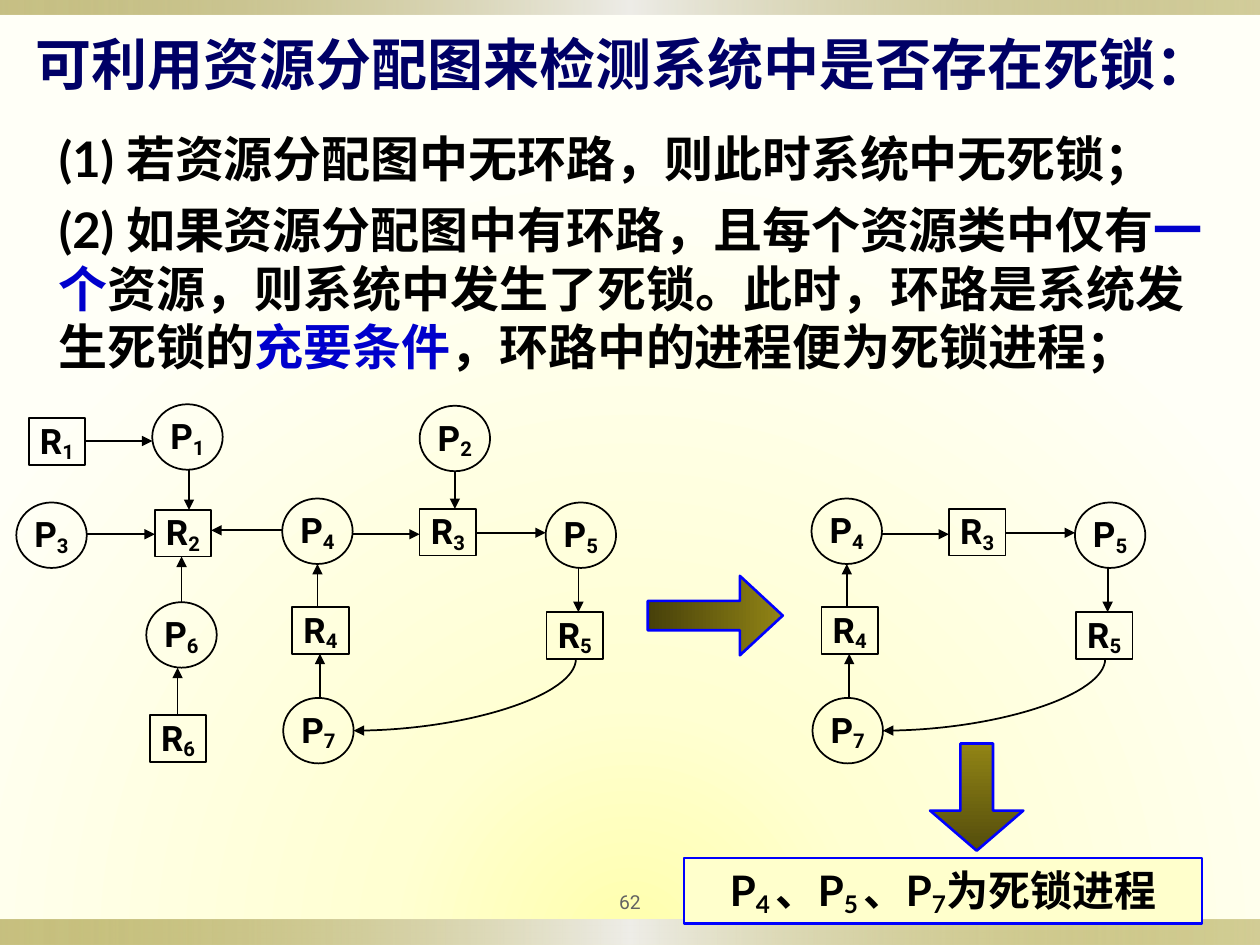
from dataclasses import dataclass

import pptx
import pptx.dml.color
import pptx.enum.shapes
import pptx.enum.text
import pptx.oxml
import pptx.oxml.ns
import pptx.util
from lxml import etree

Cm, Pt = pptx.util.Cm, pptx.util.Pt
RGB = pptx.dml.color.RGBColor.from_string
qn = pptx.oxml.ns.qn
SHAPE = pptx.enum.shapes.MSO_SHAPE
LINK = pptx.enum.shapes.MSO_CONNECTOR
ALIGN = pptx.enum.text.PP_ALIGN
ANCHOR = pptx.enum.text.MSO_ANCHOR


@dataclass(frozen=True)
class Theme:
    black: str = "000000"
    title: str = "000066"
    accent: str = "0000CC"
    outline: str = "0000FF"
    number: str = "636363"
    callout: str = "FFFFCC"
    olive: str = "918415"
    silver: str = "EEEDE8"
    head_font: str = "Lato"
    node_font: str = "Roboto"
    title_pt: float = 32
    body_pt: float = 28
    callout_pt: float = 24
    node_pt: float = 20
    number_pt: float = 11
    subscript: int = -16000


T = Theme()

# Deadlock graph: top-left corner of each node within the graph box, in cm
NODES = {
    "R1": (0.25, 0.28), "P1": (2.74, 0), "R2": (2.79, 2.13),
    "P2": (8.13, 0.03), "P3": (0, 1.98), "P4": (5.36, 1.9),
    "P5": (10.67, 1.98), "P6": (2.62, 3.99), "R3": (8.13, 2.11),
    "R4": (5.56, 4.09), "R5": (10.69, 4.19), "R6": (2.69, 6.27),
    "P7": (5.38, 5.92),
}
SIZES = {"P": (1.42, 1.32), "R": (1.14, 0.94)}
KINDS = {"P": SHAPE.OVAL, "R": SHAPE.RECTANGLE}
# Source, target, direction, and the fixed coordinate of the arrow
EDGES = [
    ("R1", "P1", "right", 0.74), ("P1", "R2", "down", 3.48),
    ("P3", "R2", "right", 2.62), ("P6", "R2", "up", 3.33),
    ("P4", "R2", "left", 2.54), ("R4", "P4", "up", 6.07),
    ("P4", "R3", "right", 2.62), ("R6", "P6", "up", 3.25),
    ("P7", "R4", "up", 6.12), ("P2", "R3", "down", 8.84),
    ("R3", "P5", "right", 2.59), ("P5", "R5", "down", 11.33),
]
CURVE = (11.28, 6.58)  # x where R5 is left, y where P7 is reached
CYCLE = ["P4", "P5", "R3", "R4", "R5", "P7"]


def set_gradient(fill, element, stops, angle=None):
    """Stops are (position, colour, alpha) in percent; no angle means radial."""
    fill.gradient()
    grad = next(element.iter(qn("a:gradFill")))
    for child in list(grad):
        grad.remove(child)
    gs_list = etree.SubElement(grad, qn("a:gsLst"))
    for pos, colour, alpha in stops:
        gs = etree.SubElement(gs_list, qn("a:gs"), pos=str(pos * 1000))
        clr = etree.SubElement(gs, qn("a:srgbClr"), val=colour)
        if alpha < 100:
            etree.SubElement(clr, qn("a:alpha"), val=str(alpha * 1000))
    if angle is None:
        around = etree.SubElement(grad, qn("a:path"), path="circle")
        etree.SubElement(around, qn("a:fillToRect"),
                         l="50000", t="150000", r="50000", b="0")
    else:
        etree.SubElement(grad, qn("a:lin"), ang=str(angle * 60000), scaled="0")


def add_box(shapes, kind, box, line=None, width=1):
    sp = shapes.add_shape(kind, *map(Cm, box))
    sp.shadow.inherit = False
    sp.fill.background()
    if line:
        sp.line.color.rgb = RGB(line)
        sp.line.width = Pt(width)
    else:
        sp.line.fill.background()
    return sp


def add_runs(p, runs, name, size, bold=True):
    """Runs are (text, colour, baseline)."""
    for text, colour, baseline in runs:
        r = p.add_run()
        r.text = text
        for key, value in {"name": name, "size": Pt(size), "bold": bold}.items():
            setattr(r.font, key, value)
        r.font.color.rgb = RGB(colour)
        if baseline:
            r.font._element.set("baseline", str(baseline))


def add_text(s, box, paragraphs, name, size, gap=0, **formats):
    tf = s.shapes.add_textbox(*map(Cm, box)).text_frame
    tf.word_wrap = True
    for i, runs in enumerate(paragraphs):
        p = tf.paragraphs[0] if i == 0 else tf.add_paragraph()
        if i:
            p.space_before = Pt(gap)
        for key, value in formats.items():
            setattr(p, key, value)
        add_runs(p, runs, name, size, bold=size > T.number_pt)
    return tf


def add_node(shapes, name, box):
    sp = add_box(shapes, KINDS[name[0]], box, T.black)
    tf = sp.text_frame
    formats = {"margin_left": Cm(0.15), "margin_right": Cm(0.15),
               "margin_top": Cm(0.03), "margin_bottom": Cm(0.03),
               "word_wrap": False, "vertical_anchor": ANCHOR.MIDDLE}
    for key, value in formats.items():
        setattr(tf, key, value)
    p = tf.paragraphs[0]
    p.alignment = ALIGN.CENTER
    add_runs(p, [(name[0], T.black, 0), (name[1], T.black, T.subscript)],
             T.node_font, T.node_pt)


def add_arrow(shapes, kind, ends):
    c = shapes.add_connector(kind, *map(Cm, ends))
    c.line.color.rgb = RGB(T.black)
    c.line.width = Pt(1)
    etree.SubElement(c.line._get_or_add_ln(), qn("a:tailEnd"), type="triangle")
    etree.SubElement(c._element.spPr, qn("a:effectLst"))
    return c


def add_quarter_curve(shapes, x1, y1, x2, y2):
    """Arrow leaving downwards and arriving leftwards: a quarter-turned arc."""
    cx, cy, w, h = (x1 + x2) / 2, (y1 + y2) / 2, y2 - y1, x1 - x2
    c = add_arrow(shapes, LINK.CURVE,
                  (cx - w / 2, cy - h / 2, cx + w / 2, cy + h / 2))
    c._element.spPr.find(qn("a:prstGeom")).set("prst", "curvedConnector2")
    c._element.spPr.find(qn("a:xfrm")).set("rot", str(90 * 60000))


def draw_graph(s, left, top, names):
    shapes = s.shapes.add_group_shape().shapes
    boxes = {n: (left + NODES[n][0], top + NODES[n][1], *SIZES[n[0]])
             for n in names}
    for name, box in boxes.items():
        add_node(shapes, name, box)
    for src, dst, way, at in EDGES:
        if src not in boxes or dst not in boxes:
            continue
        axis = 0 if way in ("left", "right") else 1
        a, b = boxes[src], boxes[dst]
        forward = way in ("right", "down")
        start = a[axis] + (a[axis + 2] if forward else 0)
        end = b[axis] + (0 if forward else b[axis + 2])
        ends = ((start, top + at, end, top + at) if axis == 0
                else (left + at, start, left + at, end))
        add_arrow(shapes, LINK.STRAIGHT, ends)
    r5, p7 = boxes["R5"], boxes["P7"]
    add_quarter_curve(shapes, left + CURVE[0], r5[1] + r5[3],
                      p7[0] + p7[2], top + CURVE[1])


def draw_block_arrow(s, kind, box, adjustments, colours, angle):
    sp = add_box(s.shapes, kind, box, T.outline, 1.5)
    for i, value in enumerate(adjustments):
        sp.adjustments[i] = value
    set_gradient(sp.fill, sp._element,
                 [(0, colours[0], 100), (100, colours[1], 100)], angle)


def draw_backdrop(s):
    set_gradient(s.background.fill, s._element,
                 [(0, "FFFFAC", 100), (31, "FFFFD2", 100), (100, "FFFFF7", 100)])
    for top, height in ((18.54, 0.51), (0, 0.3)):
        sp = add_box(s.shapes, SHAPE.RECTANGLE, (0, top, 25.4, height))
        set_gradient(sp.fill, sp._element, [(0, T.olive, 50),
                     (50, T.silver, 100), (100, T.olive, 40)], 0)


def draw_callout(s, box):
    sp = add_box(s.shapes, SHAPE.RECTANGLE, box, T.outline, 1.5)
    sp.fill.solid()
    sp.fill.fore_color.rgb = RGB(T.callout)
    tf = sp.text_frame
    tf.word_wrap, tf.vertical_anchor = True, ANCHOR.TOP
    p = tf.paragraphs[0]
    p.alignment = ALIGN.CENTER
    parts = ["P", "4 ", "、P", "5 ", "、P", "7", "为死锁进程"]
    add_runs(p, [(text, T.black, T.subscript * (i % 2))
                 for i, text in enumerate(parts)], T.head_font, T.callout_pt)


def main():
    prs = pptx.Presentation()
    prs.slide_width, prs.slide_height = Cm(25.4), Cm(19.05)
    s = prs.slides.add_slide(prs.slide_layouts[6])
    draw_backdrop(s)

    # Page number, conditions and title
    tf = add_text(s, (11.43, 17.78, 2.54, 0.79), [[("62", T.number, 0)]],
                  T.node_font, T.number_pt, alignment=ALIGN.CENTER)
    tf.vertical_anchor = ANCHOR.MIDDLE
    add_text(s, (0.94, 2.46, 23.88, 5.31), [
        [("(1) 若资源分配图中无环路，则此时系统中无死锁；", T.black, 0)],
        [("(2) 如果资源分配图中有环路，且每个资源类中仅有", T.black, 0),
         ("一个", T.accent, 0),
         ("资源，则系统中发生了死锁。此时，环路是系统发生死锁的", T.black, 0),
         ("充要条件", T.accent, 0),
         ("，环路中的进程便为死锁进程；", T.black, 0)],
    ], T.head_font, T.body_pt, gap=7)
    add_text(s, (0.46, 0.48, 24.94, 1.6),
             [[("可利用资源分配图来检测系统中是否存在死锁：", T.title, 0)]],
             T.head_font, T.title_pt)

    # Full graph, the cycle left after reduction, and the conclusion
    draw_graph(s, 0.33, 8.15, NODES)
    draw_graph(s, 11, 8.15, CYCLE)
    draw_block_arrow(s, SHAPE.RIGHT_ARROW, (13.06, 11.61, 2.72, 1.6),
                     (0.37, 0.54), ("47400A", T.olive), 0)
    draw_callout(s, (13.79, 17.3, 10.44, 1.32))
    draw_block_arrow(s, SHAPE.DOWN_ARROW, (18.75, 14.99, 1.88, 2.16),
                     (0.35, 0.43), (T.olive, "544D0C"), 90)
    prs.save("out.pptx")


if __name__ == "__main__":
    main()
